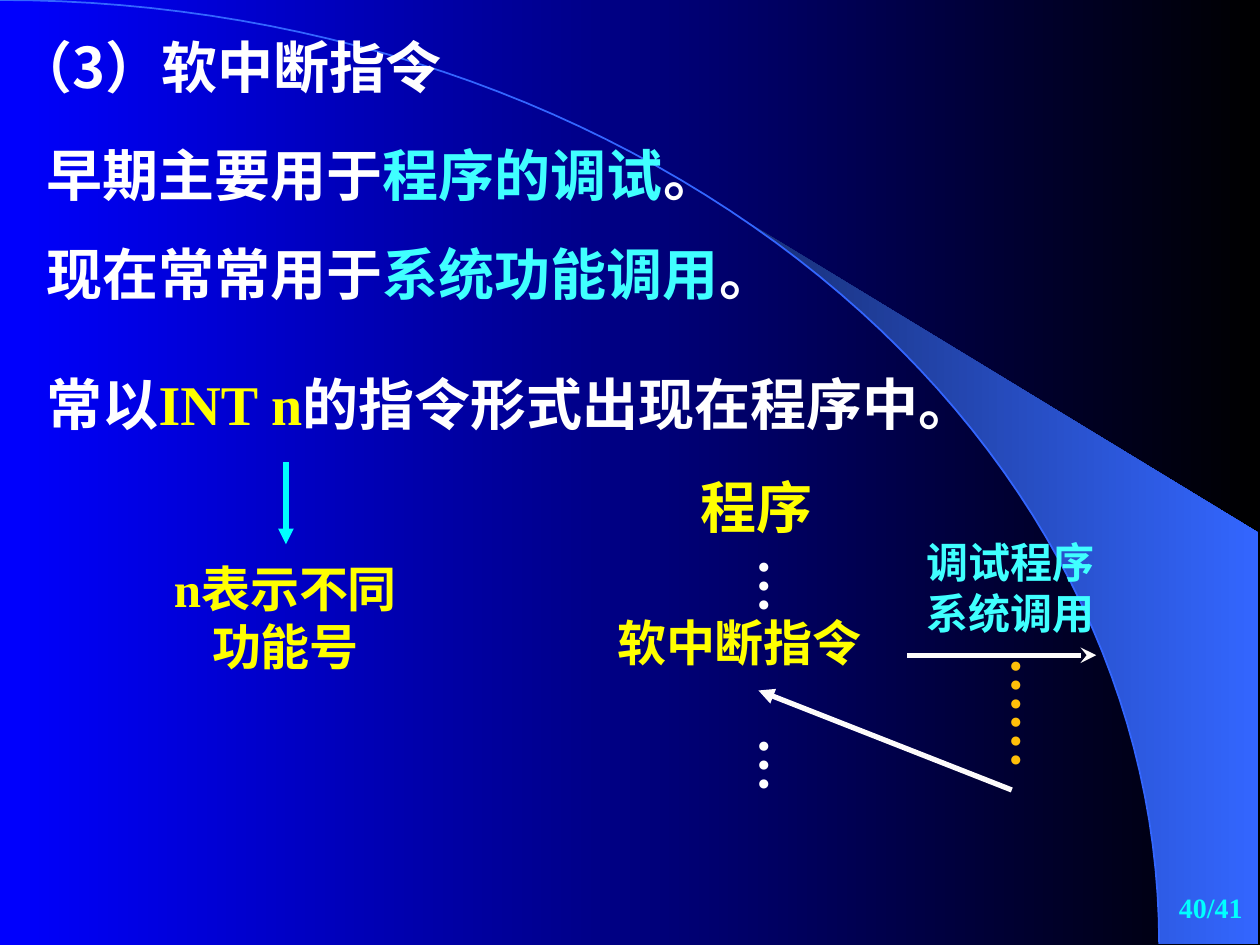
from dataclasses import dataclass
from math import asin, cos, pi, sin

from lxml.etree import SubElement
from pptx import Presentation
from pptx.dml.color import RGBColor
from pptx.enum.text import MSO_ANCHOR, MSO_AUTO_SIZE, PP_ALIGN
from pptx.enum.shapes import MSO_CONNECTOR
from pptx.oxml.ns import qn
from pptx.util import Inches, Pt


@dataclass(frozen=True)
class Theme:
    blue: str = "0000FF"
    black: str = "000000"
    band_dark: str = "182F76"
    band_light: str = "3366FF"
    white: str = "FFFFFF"
    arrow_white: str = "FDFBFB"
    yellow: str = "FFFF00"
    aqua: str = "40FFFF"
    cyan: str = "00FFFF"
    orange: str = "FFBF09"
    heading: int = 32
    label: int = 28
    callout: int = 24
    page_number: int = 16
    chinese: str = "Noto Sans CJK SC"
    latin: str = "Times New Roman"


THEME = Theme()
ARC_WIDTH, ARC_HEIGHT = 9.2, 7.49


@dataclass(frozen=True)
class Span:
    text: str
    color: str = THEME.white


@dataclass(frozen=True)
class Label:
    left: float
    top: float
    width: float
    height: float
    lines: tuple[tuple[Span, ...], ...]
    size: int = THEME.heading
    font: str = THEME.chinese
    align: PP_ALIGN = PP_ALIGN.LEFT
    anchor: MSO_ANCHOR = MSO_ANCHOR.TOP
    vertical: bool = False


@dataclass(frozen=True)
class Arrow:
    start: tuple[float, float]
    end: tuple[float, float]
    color: str
    head: str = "triangle"


def one_line(text: str, color: str = THEME.white) -> tuple[tuple[Span, ...], ...]:
    return ((Span(text, color),),)


TITLE = Label(0.03, 0.21, 5.83, 0.64, one_line("（3）软中断指令"))

LABELS = (
    Label(5.46, 3.7, 1.17, 0.64, one_line("程序", THEME.yellow)),
    Label(4.8, 4.81, 2.5, 0.57, one_line("软中断指令", THEME.yellow), THEME.label),
    Label(1.22, 4.38, 2.09, 1.04, one_line("n表示不同功能号", THEME.yellow),
          THEME.label, THEME.latin, PP_ALIGN.CENTER),
    Label(5.8, 4.33, 0.73, 0.75, one_line("…"), font=THEME.latin, vertical=True),
    Label(7.05, 4.21, 1.94, 0.9,
          one_line("调试程序", THEME.aqua) + one_line("系统调用", THEME.aqua),
          THEME.callout, align=PP_ALIGN.CENTER),
    Label(7.8, 5.12, 0.73, 1.25, one_line("……", THEME.orange),
          font=THEME.latin, align=PP_ALIGN.CENTER, vertical=True),
    Label(5.8, 5.75, 0.73, 0.83, one_line("…"), font=THEME.latin, vertical=True),
    Label(0.27, 1.07, 6.92, 0.64,
          ((Span("早期主要用于"), Span("程序的调试", THEME.aqua), Span("。")),)),
    Label(0.27, 1.85, 5.83, 0.64,
          ((Span("现在常常用于"), Span("系统功能调用", THEME.aqua), Span("。")),)),
    Label(0.27, 2.88, 8.75, 0.64,
          ((Span("常以"), Span("INT n", THEME.yellow), Span("的指令形式出现在程序中。")),),
          font=THEME.latin),
    Label(7.88, 6.95, 2.08, 0.5, one_line("40/41", THEME.cyan), THEME.page_number,
          THEME.latin, PP_ALIGN.RIGHT, MSO_ANCHOR.MIDDLE),
)

ARROWS = (
    Arrow((7.2, 5.2), (8.7, 5.2), THEME.arrow_white, "stealth"),
    Arrow((8.03, 6.27), (6.02, 5.48), THEME.arrow_white),
    Arrow((2.27, 3.67), (2.27, 4.32), THEME.cyan),
)


def fill_gradient(fill, first: str, last: str) -> None:
    fill.gradient()
    fill.gradient_angle = 0
    for stop, color in zip(fill.gradient_stops, (first, last)):
        stop.color.rgb = RGBColor.from_string(color)


def arc_points(start_angle: float, steps: int = 60) -> list[tuple[float, float]]:
    """Points on the quarter ellipse from start_angle to its bottom end."""
    angles = [start_angle + (pi / 2 - start_angle) * i / steps for i in range(steps + 1)]
    return [(ARC_WIDTH * sin(a), ARC_HEIGHT * (1 - cos(a))) for a in angles]


def draw_outline(page, points: list[tuple[float, float]], close: bool):
    corners = [(Inches(x), Inches(y)) for x, y in points]
    builder = page.shapes.build_freeform(*corners[0])
    builder.add_line_segments(corners[1:], close=close)
    shape = builder.convert_to_shape()
    shape.shadow.inherit = False
    return shape


def draw_backdrop(page) -> None:
    fill_gradient(page.background.fill, THEME.blue, THEME.black)
    edge = arc_points(asin(5.89 / ARC_WIDTH))
    band = draw_outline(page, edge + [(9.99, 7.49), (9.99, 4.23)], True)
    fill_gradient(band.fill, THEME.band_dark, THEME.band_light)
    band.line.fill.background()
    arc = draw_outline(page, arc_points(0), False)
    arc.fill.background()
    arc.line.color.rgb = RGBColor.from_string(THEME.band_light)
    arc.line.width = Pt(1)


def write_label(box, label: Label) -> None:
    box.left, box.top = Inches(label.left), Inches(label.top)
    box.width, box.height = Inches(label.width), Inches(label.height)
    frame = box.text_frame
    frame.word_wrap = True
    frame.auto_size = MSO_AUTO_SIZE.NONE
    frame.vertical_anchor = label.anchor
    across, along = (0.05, 0.1) if label.vertical else (0.1, 0.05)
    frame.margin_left = frame.margin_right = Inches(across)
    frame.margin_top = frame.margin_bottom = Inches(along)
    if label.vertical:
        frame._txBody.bodyPr.set("vert", "eaVert")
    for index, spans in enumerate(label.lines):
        para = frame.add_paragraph() if index else frame.paragraphs[0]
        para.alignment = label.align
        for span in spans:
            run = para.add_run()
            run.text = span.text
            run.font.size = Pt(label.size)
            run.font.bold = True
            run.font.color.rgb = RGBColor.from_string(span.color)
            run.font.name = label.font
            SubElement(run.font._element, qn("a:ea"), typeface=THEME.chinese)


def draw_arrow(page, arrow: Arrow) -> None:
    line = page.shapes.add_connector(
        MSO_CONNECTOR.STRAIGHT, *map(Inches, arrow.start + arrow.end))
    line.line.color.rgb = RGBColor.from_string(arrow.color)
    line.line.width = Pt(3)
    SubElement(line.line._get_or_add_ln(), qn("a:tailEnd"), type=arrow.head)
    SubElement(line._element.spPr, qn("a:effectLst"))


def main() -> None:
    deck = Presentation()
    deck.slide_width, deck.slide_height = Inches(10), Inches(7.5)
    page = deck.slides.add_slide(deck.slide_layouts[5])
    draw_backdrop(page)
    title = page.shapes.title
    write_label(title, TITLE)
    page.shapes._spTree.append(title._element)  # bring in front of the arc
    for label in LABELS:
        write_label(page.shapes.add_textbox(0, 0, 0, 0), label)
    for arrow in ARROWS:
        draw_arrow(page, arrow)
    deck.save("out.pptx")


if __name__ == "__main__":
    main()
